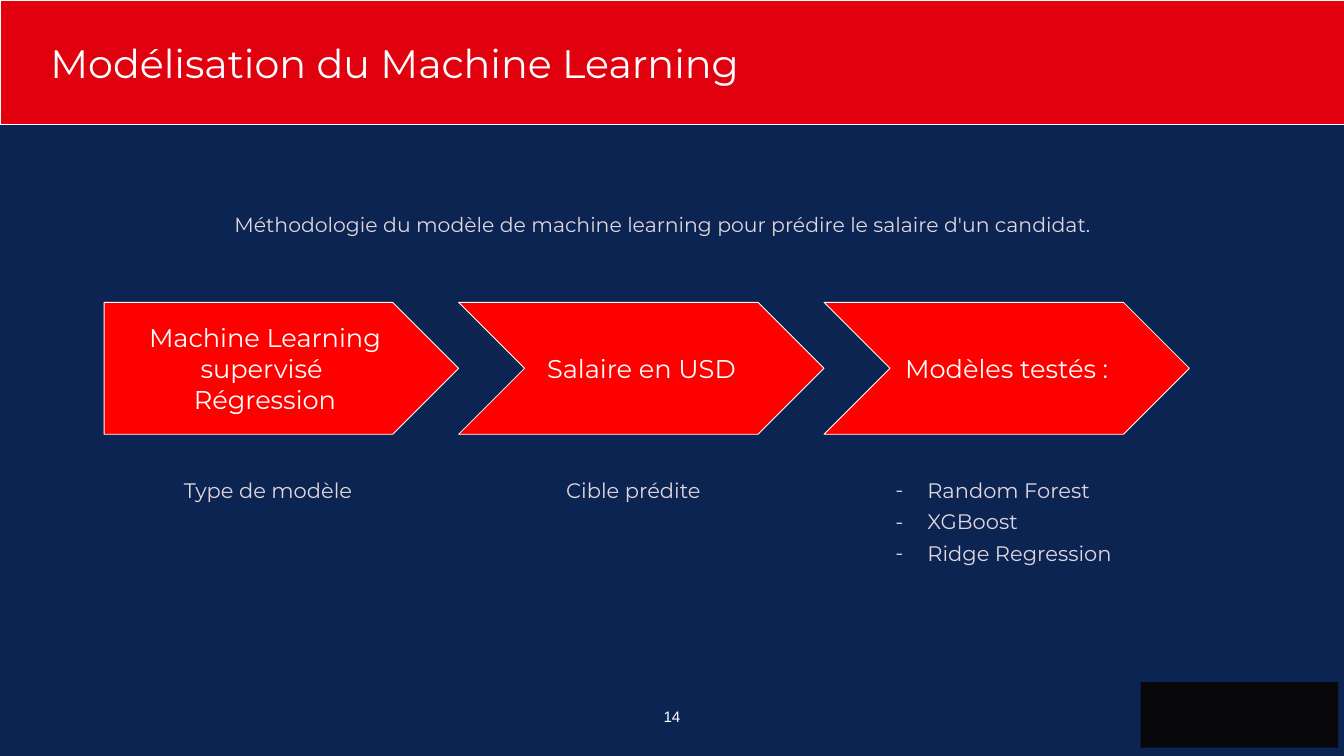
from lxml.etree import SubElement
from pptx import Presentation
from pptx.dml.color import RGBColor
from pptx.enum.shapes import MSO_SHAPE
from pptx.enum.text import MSO_ANCHOR, MSO_AUTO_SIZE, PP_ALIGN
from pptx.oxml.ns import qn
from pptx.util import Inches, Pt

NAVY = RGBColor(0x0C, 0x24, 0x52)
BANNER_RED = RGBColor(0xE1, 0x01, 0x0E)
STEP_RED = RGBColor(0xFF, 0x00, 0x00)
PALE = RGBColor(0xE0, 0xD6, 0xDE)
WHITE = RGBColor(0xFF, 0xFF, 0xFF)
NEAR_BLACK = RGBColor(0x07, 0x07, 0x0C)
MONTSERRAT = "Montserrat"

STEP_TOP, STEP_HEIGHT = 3.6, 1.57
CAPTION_TOP = 5.61
STEPS = [
    (MSO_SHAPE.PENTAGON, 1.24, 4.22, "Machine Learning supervisé \vRégression"),
    (MSO_SHAPE.CHEVRON, 5.46, 4.35, "Salaire en USD"),
    (MSO_SHAPE.CHEVRON, 9.81, 4.35, "Modèles testés :"),
]
CAPTIONS = [(2.19, 2.54, "Type de modèle"), (6.74, 2.17, "Cible prédite")]
MODELS = ["Random Forest", "XGBoost", "Ridge Regression"]


def set_margins(frame, margin):
    """Give a text frame the same margin on all sides and let it wrap."""
    frame.margin_left = frame.margin_right = Inches(margin)
    frame.margin_top = frame.margin_bottom = Inches(margin)
    frame.word_wrap = True


def style_text(frame, size, color, align=PP_ALIGN.LEFT, spacing=1.0, font=MONTSERRAT):
    """Format every paragraph and run of a text frame."""
    for paragraph in frame.paragraphs:
        paragraph.alignment = align
        paragraph.line_spacing = spacing
        for run in paragraph.runs:
            run.font.name = font
            run.font.size = Pt(size)
            run.font.color.rgb = color


def paint(shape, fill):
    """Fill a shape and outline it in thin white."""
    shape.fill.solid()
    shape.fill.fore_color.rgb = fill
    shape.line.color.rgb = WHITE
    shape.line.width = Pt(0.75)


def add_text(slide, box, text, size, color=PALE, margin=0, **style):
    """Add a wrapped text box and return its text frame."""
    frame = slide.shapes.add_textbox(*map(Inches, box)).text_frame
    set_margins(frame, margin)
    frame.text = text
    style_text(frame, size, color, **style)
    return frame


def format_banner(slide, box, text):
    """Turn the title placeholder into the red banner."""
    banner = slide.shapes.title
    banner.left, banner.top, banner.width, banner.height = map(Inches, box)
    paint(banner, BANNER_RED)
    frame = banner.text_frame
    frame.text = text
    frame.auto_size = MSO_AUTO_SIZE.NONE
    frame.vertical_anchor = MSO_ANCHOR.MIDDLE
    set_margins(frame, 0.1)
    properties = frame.paragraphs[0]._p.get_or_add_pPr()
    properties.set("marL", str(Inches(0.5)))
    properties.set("indent", "0")
    style_text(frame, 34, WHITE)


def add_step(slide, kind, box, text):
    """Add one arrow of the process."""
    step = slide.shapes.add_shape(kind, *map(Inches, box))
    step.shadow.inherit = False
    step.adjustments[0] = 0.5
    paint(step, STEP_RED)
    frame = step.text_frame
    frame.text = text
    frame.vertical_anchor = MSO_ANCHOR.MIDDLE
    set_margins(frame, 0.1)
    style_text(frame, 22, WHITE, align=PP_ALIGN.CENTER)


def add_model_list(slide, box, models):
    """Add the dashed list of tested models."""
    frame = add_text(slide, box, "\n".join(models), 18, spacing=1.25)
    for paragraph in frame.paragraphs:
        properties = paragraph._p.get_or_add_pPr()
        properties.set("marL", str(Inches(0.5)))
        properties.set("indent", str(Inches(-0.38)))
        bullet_color = SubElement(properties, qn("a:buClr"))
        SubElement(bullet_color, qn("a:srgbClr")).set("val", str(PALE))
        SubElement(properties, qn("a:buFont")).set("typeface", MONTSERRAT)
        SubElement(properties, qn("a:buChar")).set("char", "-")


def add_footer(slide, number_box, panel_box):
    """Add the page number and the dark corner panel."""
    panel = slide.shapes.add_shape(MSO_SHAPE.RECTANGLE, *map(Inches, panel_box))
    panel.shadow.inherit = False
    panel.fill.solid()
    panel.fill.fore_color.rgb = NEAR_BLACK
    panel.line.fill.background()
    add_text(slide, number_box, "14", 13, WHITE, margin=0.15,
             align=PP_ALIGN.CENTER, font="Arial")


def main():
    """Build the slide and save it."""
    deck = Presentation()
    deck.slide_width, deck.slide_height = Inches(16), Inches(9)
    slide = deck.slides.add_slide(deck.slide_layouts[5])
    slide.background.fill.solid()
    slide.background.fill.fore_color.rgb = NAVY

    format_banner(slide, (0, 0, 16, 1.48), "Modélisation du Machine Learning")
    add_text(slide, (2.79, 2.34, 10.42, 0.4),
             "Méthodologie du modèle de machine learning pour prédire le salaire d'un candidat.",
             17.5, spacing=1.63)
    for kind, left, width, text in STEPS:
        add_step(slide, kind, (left, STEP_TOP, width, STEP_HEIGHT), text)
    for left, width, text in CAPTIONS:
        add_text(slide, (left, CAPTION_TOP, width, 0.39), text, 18, spacing=1.25)
    add_model_list(slide, (10.54, CAPTION_TOP, 2.88, 1.12), MODELS)
    add_footer(slide, (7.52, 8.31, 0.96, 0.69), (13.58, 8.12, 2.35, 0.78))
    deck.save("out.pptx")


if __name__ == "__main__":
    main()
